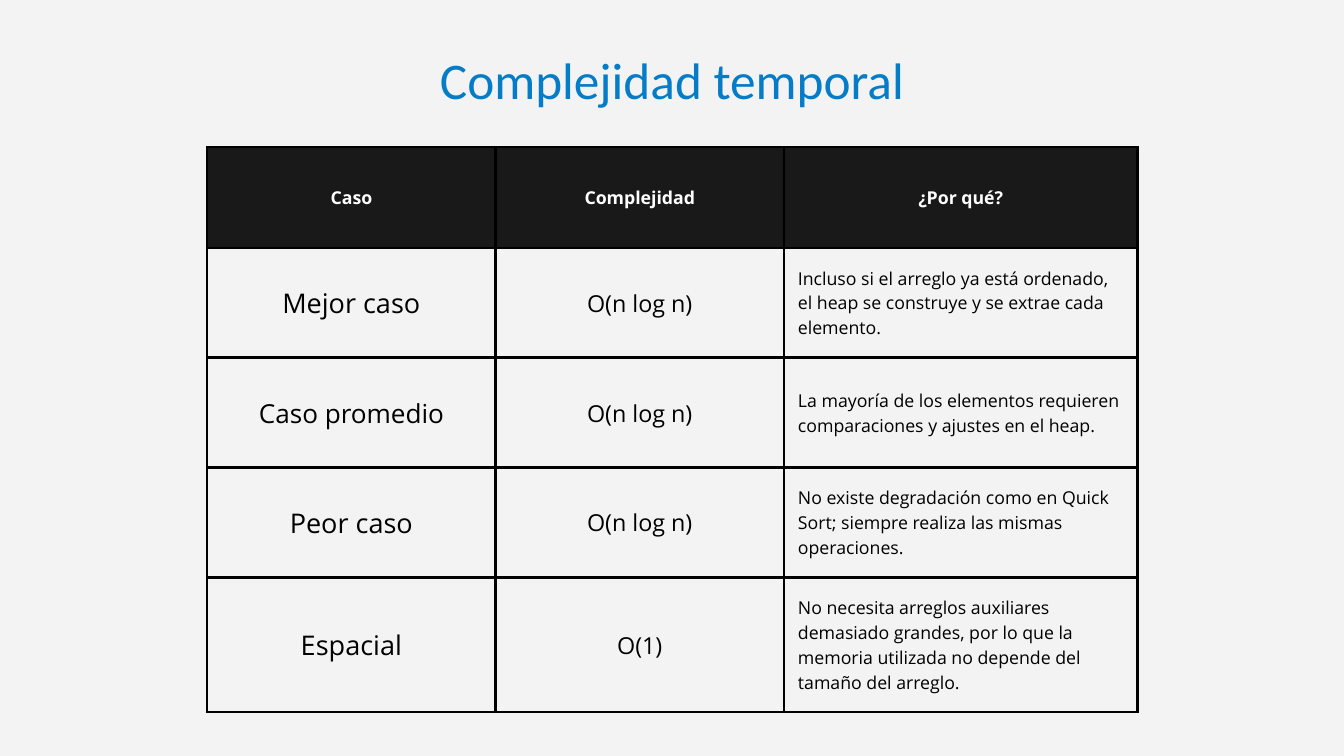
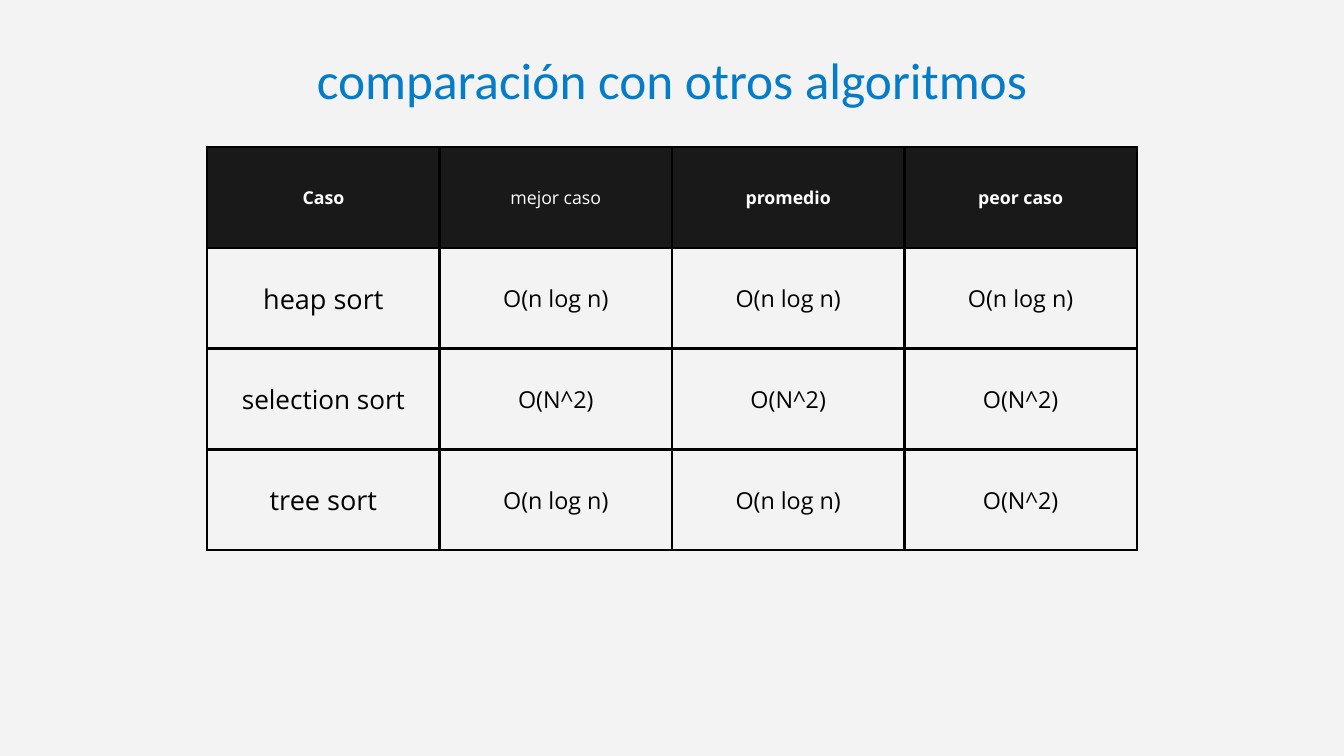
from lxml import etree
from pptx import Presentation
from pptx.dml.color import RGBColor
from pptx.enum.text import MSO_ANCHOR, MSO_AUTO_SIZE, PP_ALIGN
from pptx.oxml.ns import qn
from pptx.util import Emu, Pt

CENTER, LEFT = PP_ALIGN.CENTER, PP_ALIGN.LEFT
MIDDLE = MSO_ANCHOR.MIDDLE
FIT_TEXT = MSO_AUTO_SIZE.SHAPE_TO_FIT_TEXT

BACKGROUND = RGBColor(0xF3, 0xF3, 0xF3)
TITLE_BLUE = RGBColor(0x04, 0x7C, 0xC7)
HEADER_FILL = RGBColor(0x19, 0x19, 0x19)
WHITE = RGBColor(0xFF, 0xFF, 0xFF)
BLACK = RGBColor(0x00, 0x00, 0x00)

TITLE_FONT, TABLE_FONT = "Calibri", "Open Sans"
TITLE_SIZE, NOTE_SIZE, FORMULA_SIZE, CASE_SIZE, LONG_CASE_SIZE = 55, 19, 25, 29, 28
LINE_FACTOR = 1.4
LONG_CASE_LENGTH = 12

# Lengths in px, 96 to the inch
SLIDE_W, SLIDE_H = 1920, 1080
TITLE_TOP, TITLE_H = 54, 98
TABLE_LEFT, TABLE_TOP = 296, 210
CELL_MARGIN = 20
BORDER_PT = 3

TIME_HEADERS = ["Caso", "Complejidad", "¿Por qué?"]
TIME_ROWS = [
    ["Mejor caso", "O(n log n)",
     "Incluso si el arreglo ya está ordenado, el heap se construye y se extrae cada elemento."],
    ["Caso promedio", "O(n log n)",
     "La mayoría de los elementos requieren comparaciones y ajustes en el heap."],
    ["Peor caso", "O(n log n)",
     "No existe degradación como en Quick Sort; siempre realiza las mismas operaciones."],
    ["Espacial", "O(1)",
     "No necesita arreglos auxiliares demasiado grandes, por lo que la memoria utilizada "
     "no depende del tamaño del arreglo."],
]
ALGORITHM_HEADERS = ["Caso", "mejor caso", "promedio", "peor caso"]
ALGORITHM_ROWS = [
    ["heap sort", "O(n log n)", "O(n log n)", "O(n log n)"],
    ["selection sort", "O(N^2)", "O(N^2)", "O(N^2)"],
    ["tree sort", "O(n log n)", "O(n log n)", "O(N^2)"],
]


def px(length):
    return Emu(length * 9525)


def write(frame, text, font, size, color, align=CENTER, bold=False):
    frame.text = text
    paragraph = frame.paragraphs[0]
    paragraph.alignment = align
    paragraph.line_spacing = Pt(round(size * LINE_FACTOR, 1))
    style = paragraph.runs[0].font
    style.name, style.size, style.bold = font, Pt(size), bold
    style.color.rgb = color


def add_title_slide(deck, title, title_width):
    slide = deck.slides.add_slide(deck.slide_layouts[6])
    slide.background.fill.solid()
    slide.background.fill.fore_color.rgb = BACKGROUND
    box = slide.shapes.add_textbox(px((SLIDE_W - title_width) // 2), px(TITLE_TOP),
                                   px(title_width), px(TITLE_H))
    frame = box.text_frame
    frame.word_wrap = True
    frame.auto_size = FIT_TEXT
    frame.margin_left = frame.margin_right = frame.margin_top = frame.margin_bottom = 0
    write(frame, title, TITLE_FONT, TITLE_SIZE, TITLE_BLUE)
    return slide


def add_borders(cell):
    properties = cell._tc.get_or_add_tcPr()
    for side in ("a:lnL", "a:lnR", "a:lnT", "a:lnB"):
        line = etree.SubElement(properties, qn(side), w=str(Pt(BORDER_PT)))
        fill = etree.SubElement(line, qn("a:solidFill"))
        etree.SubElement(fill, qn("a:srgbClr"), val=str(BLACK))


def prepare_cell(cell, fill_color=None):
    cell.margin_left = cell.margin_right = px(CELL_MARGIN)
    cell.margin_top = cell.margin_bottom = px(CELL_MARGIN)
    cell.vertical_anchor = MIDDLE
    add_borders(cell)
    if fill_color is None:
        cell.fill.background()
    else:
        cell.fill.solid()
        cell.fill.fore_color.rgb = fill_color


def body_style(column, text):
    """Size and alignment for a case name, a formula or an explanation."""
    if column == 0:
        return (LONG_CASE_SIZE if len(text) > LONG_CASE_LENGTH else CASE_SIZE), CENTER
    if text.startswith("O("):
        return FORMULA_SIZE, CENTER
    return NOTE_SIZE, LEFT


def add_complexity_table(slide, headers, rows, widths, heights, light_headers=()):
    table = slide.shapes.add_table(len(heights), len(widths), px(TABLE_LEFT), px(TABLE_TOP),
                                   px(sum(widths)), px(sum(heights))).table
    table.first_row = table.horz_banding = False
    for column, width in zip(table.columns, widths):
        column.width = px(width)
    for row, height in zip(table.rows, heights):
        row.height = px(height)

    # Header row
    for column, header in enumerate(headers):
        cell = table.cell(0, column)
        prepare_cell(cell, HEADER_FILL)
        write(cell.text_frame, header, TABLE_FONT, NOTE_SIZE, WHITE,
              bold=header not in light_headers)

    # Body rows
    for row, texts in enumerate(rows, start=1):
        for column, text in enumerate(texts):
            cell = table.cell(row, column)
            prepare_cell(cell)
            size, align = body_style(column, text)
            write(cell.text_frame, text, TABLE_FONT, size, BLACK, align)


def main():
    deck = Presentation()
    deck.slide_width, deck.slide_height = px(SLIDE_W), px(SLIDE_H)

    # Time complexity of heap sort
    slide = add_title_slide(deck, "Complejidad temporal", 772)
    add_complexity_table(slide, TIME_HEADERS, TIME_ROWS,
                         widths=[412, 412, 505], heights=[144, 157, 157, 157, 192])

    # Comparison with other algorithms
    slide = add_title_slide(deck, "comparación con otros algoritmos", 1116)
    add_complexity_table(slide, ALGORITHM_HEADERS, ALGORITHM_ROWS,
                         widths=[332] * 4, heights=[144] * 4,
                         light_headers=["mejor caso"])

    deck.save("out.pptx")


if __name__ == "__main__":
    main()
